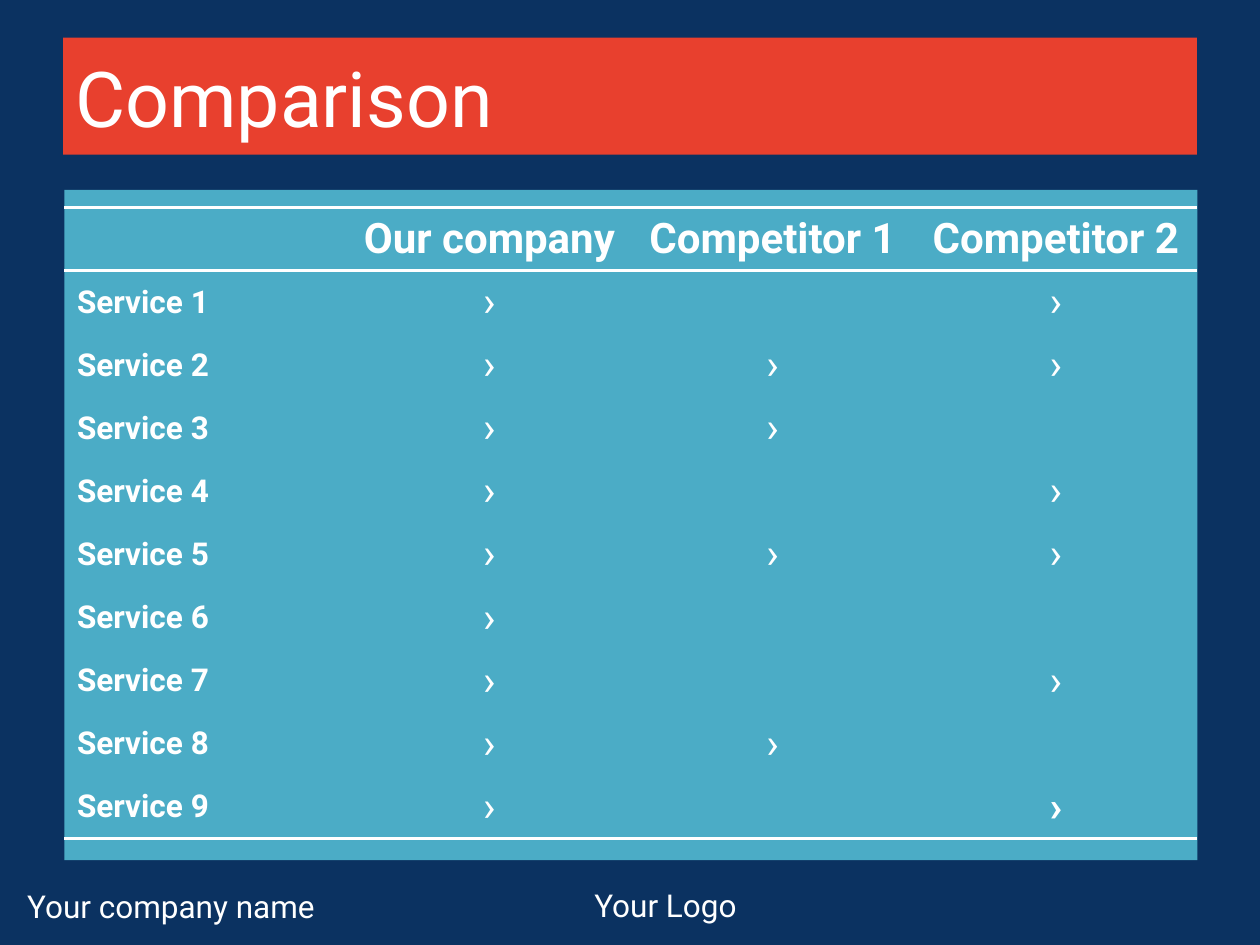
import lxml.etree
import pptx
import pptx.dml.color
import pptx.enum.shapes
import pptx.enum.text
import pptx.oxml.ns
import pptx.util

Cm, Pt = pptx.util.Cm, pptx.util.Pt
ALIGN = pptx.enum.text.PP_ALIGN
MIDDLE = pptx.enum.text.MSO_ANCHOR.MIDDLE
qn = pptx.oxml.ns.qn

COLORS = {"navy": "0B3261", "red": "E8402E", "teal": "4BACC6", "white": "FFFFFF"}
FONT = "Roboto"
PLAIN_STYLE = "{2D5ABB26-0587-4C30-8999-92F81FD0307C}"

TITLE = "Comparison"
HEADS = ["", "Our company", "Competitor 1", "Competitor 2"]
# Which of the three companies offers each service
OFFERS = [
    ("Service 1", (1, 0, 1)),
    ("Service 2", (1, 1, 1)),
    ("Service 3", (1, 1, 0)),
    ("Service 4", (1, 0, 1)),
    ("Service 5", (1, 1, 1)),
    ("Service 6", (1, 0, 0)),
    ("Service 7", (1, 0, 1)),
    ("Service 8", (1, 1, 0)),
    ("Service 9", (1, 0, 1)),
]
MARK = "›"
FOOTERS = [
    ("Your company name", (0.3, 17.75, 21.59, 0.86), ALIGN.LEFT),
    ("Your Logo", (11.51, 17.73, 3.81, 1.07), ALIGN.CENTER),
]
LEFT, WIDTH = 1.3, 22.84
PANEL = (LEFT, 3.83, WIDTH, 13.51)
GRID = (LEFT, 4.19, WIDTH, 12.7)


def box(area):
    return [Cm(n) for n in area]


def paint(fill, name):
    fill.solid()
    fill.fore_color.rgb = pptx.dml.color.RGBColor.from_string(COLORS[name])


def write(frame, text, size, align, bold=False):
    frame.text = text
    par = frame.paragraphs[0]
    par.alignment = align
    font = par.font
    font.name, font.size, font.bold = FONT, Pt(size), bold
    paint(font.fill, "white")
    return par


def rule(cell, sides):
    """Draw white lines on the given sides ("T", "B") of a cell."""
    props = cell._tc.get_or_add_tcPr()
    for at, side in enumerate(sides):
        line = lxml.etree.Element(qn("a:ln" + side), w=str(Pt(2)))
        fill = lxml.etree.SubElement(line, qn("a:solidFill"))
        lxml.etree.SubElement(fill, qn("a:srgbClr"), val=COLORS["white"])
        props.insert(at, line)


def add_grid(slide):
    rows = [HEADS] + [[name] + [MARK if has else "" for has in marks]
                      for name, marks in OFFERS]
    last = len(rows) - 1
    table = slide.shapes.add_table(len(rows), len(HEADS), *box(GRID)).table
    table._tbl.tblPr.find(qn("a:tableStyleId")).text = PLAIN_STYLE
    table.horz_banding = False
    for r, row in enumerate(rows):
        for c, text in enumerate(row):
            cell = table.cell(r, c)
            cell.fill.background()
            cell.vertical_anchor = MIDDLE
            if text:
                final = (r, c) == (last, len(HEADS) - 1)
                write(cell.text_frame, text,
                      18 if c == 0 else 24,
                      ALIGN.LEFT if c == 0 else ALIGN.CENTER,
                      r == 0 or c == 0 or final)
            rule(cell, {0: "TB", last: "B"}.get(r, ""))


def main():
    deck = pptx.Presentation()
    deck.slide_width, deck.slide_height = Cm(25.4), Cm(19.05)
    slide = deck.slides.add_slide(deck.slide_layouts[5])
    paint(slide.background.fill, "navy")

    for text, area, align in FOOTERS:
        frame = slide.shapes.add_textbox(*box(area)).text_frame
        frame.word_wrap = True
        write(frame, text, 18, align).space_before = Pt(3.6)

    panel = slide.shapes.add_shape(
        pptx.enum.shapes.MSO_SHAPE.RECTANGLE, *box(PANEL))
    panel.shadow.inherit = False
    paint(panel.fill, "teal")
    panel.line.fill.background()

    title = slide.shapes.title
    title.left, title.top, title.width, title.height = box((1.27, 0.76, 22.86, 2.36))
    paint(title.fill, "red")
    title.text_frame.vertical_anchor = MIDDLE
    write(title.text_frame, TITLE, 44, ALIGN.LEFT)

    add_grid(slide)
    deck.save("out.pptx")


if __name__ == "__main__":
    main()
